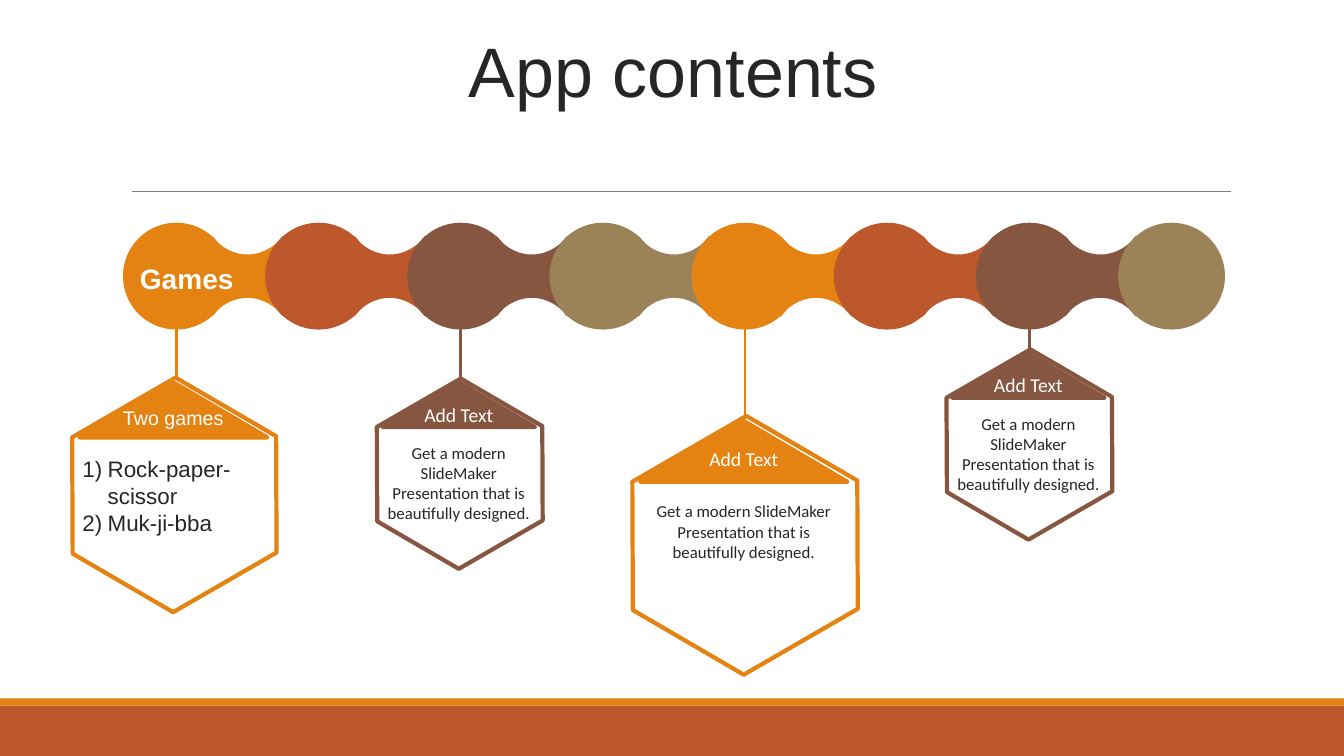
from dataclasses import dataclass

from lxml import etree
from pptx import Presentation
from pptx.dml.color import RGBColor
from pptx.enum.shapes import MSO_CONNECTOR, MSO_SHAPE
from pptx.enum.text import MSO_ANCHOR, MSO_AUTO_SIZE, PP_ALIGN
from pptx.oxml.ns import qn
from pptx.util import Inches, Pt

RECTANGLE, ELLIPSE = MSO_SHAPE.RECTANGLE, MSO_SHAPE.OVAL
HEXAGON, TRIANGLE = MSO_SHAPE.HEXAGON, MSO_SHAPE.ISOSCELES_TRIANGLE
STRAIGHT = MSO_CONNECTOR.STRAIGHT
LEFT, CENTER = PP_ALIGN.LEFT, PP_ALIGN.CENTER

ORANGE = RGBColor(0xE4, 0x83, 0x12)
RUST = RGBColor(0xBD, 0x58, 0x2C)
BROWN = RGBColor(0x86, 0x56, 0x40)
OLIVE = RGBColor(0x9B, 0x83, 0x57)
GRAY = RGBColor(0x80, 0x80, 0x80)
DARK = RGBColor(0x26, 0x26, 0x26)
WHITE = RGBColor(0xFF, 0xFF, 0xFF)
CHAIN_COLORS = (ORANGE, RUST, BROWN, OLIVE)

WIDTH, HEIGHT = 13.33, 7.5
CHAIN_LEFT, CHAIN_TOP, DIAMETER, PITCH = 1.22, 2.21, 1.06, 1.41
CIRCLE_COUNT = 8
LINK_OFFSET, LINK_WIDTH, LINK_HEIGHT = 0.8, 0.87, 0.79
CURVE_STARTS = (3, 6, 14, 17)
SAMPLE_TEXT = "Get a modern SlideMaker Presentation that is beautifully designed."


@dataclass
class Card:
    circle: int
    center_x: float
    center_y: float
    width: float
    stem_end: float
    color: RGBColor
    heading: str = "Add Text"
    body: tuple = (SAMPLE_TEXT,)
    font: str = "Calibri"
    body_size: int = 12
    body_height: float = 0.59
    numbered: bool = False


CARDS = (
    Card(0, 1.73, 4.91, 2.33, 4.52, ORANGE, "Two games",
         ("Rock-paper-scissor", "Muk-ji-bba"), "Arial", 16, 0.39, True),
    Card(4, 7.39, 5.41, 2.57, 4.19, ORANGE),
    Card(6, 10.21, 4.41, 1.89, 3.6, BROWN),
    Card(2, 4.56, 4.7, 1.89, 4.51, BROWN),
)


def circle_center(index):
    return CHAIN_LEFT + index * PITCH + DIAMETER / 2


def add_filled(shapes, kind, box, fill, outline=None):
    shape = shapes.add_shape(kind, *map(Inches, box))
    paint(shape, fill, outline)
    return shape


def paint(shape, fill, outline=None):
    shape.shadow.inherit = False
    shape.fill.solid()
    shape.fill.fore_color.rgb = fill
    if outline is None:
        shape.line.fill.background()
    else:
        shape.line.color.rgb = outline
        shape.line.width = Pt(3)


def add_line(shapes, start, end, color, width, oval_end=False):
    line = shapes.add_connector(STRAIGHT, *map(Inches, start + end))
    line.line.color.rgb = color
    line.line.width = Pt(width)
    if oval_end:
        etree.SubElement(line.line._get_or_add_ln(), qn("a:tailEnd"), type="oval")
    etree.SubElement(line._element.spPr, qn("a:effectLst"))


def format_paragraph(paragraph, text, *, size, font, color, align=LEFT, bold=False):
    paragraph.alignment = align
    run = paragraph.add_run()
    run.text = text
    run.font.size = Pt(size)
    run.font.name = font
    run.font.color.rgb = color
    run.font.bold = bold


def add_text(shapes, box, lines, *, numbered=False, **text_format):
    frame = shapes.add_textbox(*map(Inches, box)).text_frame
    frame.word_wrap = True
    for index, text in enumerate(lines):
        paragraph = frame.add_paragraph() if index else frame.paragraphs[0]
        format_paragraph(paragraph, text, **text_format)
        if numbered:
            properties = paragraph._p.get_or_add_pPr()
            properties.set("marL", str(Inches(0.25)))
            properties.set("indent", str(-Inches(0.25)))
            etree.SubElement(properties, qn("a:buAutoNum"), type="arabicParenR")


def curve_segments(shape, starts):
    """Turn three line segments from each start into one cubic curve."""
    segments = list(shape._element.iter(qn("a:lnTo")))
    for start in starts:
        first, *others = segments[start - 1:start + 2]
        curve = etree.Element(qn("a:cubicBezTo"))
        first.addprevious(curve)
        for segment in (first, *others):
            curve.append(segment[0])
            segment.getparent().remove(segment)


def add_link(shapes, left, color):
    """Draw a band whose top and bottom edges curve inward to a neck."""
    middle = LINK_WIDTH / 2
    half = [(0, 0), (0.09, 0), (0.13, 0.05), (0.21, 0.13), (0.32, 0.18)]
    mirrored = [(LINK_WIDTH - x, y) for x, y in reversed(half)]
    top = [*half, (middle, 0.18), *mirrored]
    bottom = [(x, LINK_HEIGHT - y) for x, y in reversed(top)]
    link_top = CHAIN_TOP + (DIAMETER - LINK_HEIGHT) / 2
    points = [(Inches(left + x), Inches(link_top + y)) for x, y in top + bottom]
    builder = shapes.build_freeform(*points[0])
    builder.add_line_segments(points[1:], close=True)
    link = builder.convert_to_shape()
    curve_segments(link, CURVE_STARTS)
    paint(link, color)


def add_chain(slide):
    shapes = slide.shapes.add_group_shape().shapes
    lefts = [CHAIN_LEFT + index * PITCH for index in range(CIRCLE_COUNT)]
    colors = [CHAIN_COLORS[index % len(CHAIN_COLORS)] for index in range(CIRCLE_COUNT)]
    for left, color in zip(lefts[:-1], colors):
        add_link(shapes, left + LINK_OFFSET, color)
    for left, color in zip(lefts, colors):
        add_filled(shapes, ELLIPSE, (left, CHAIN_TOP, DIAMETER, DIAMETER), color)


def add_card(slide, card):
    """Draw a hexagon card; its parts are shares of the hexagon's width."""
    def part(top, width, height, shift=-0.005):
        return (card.center_x + card.width * (shift - width / 2),
                card.center_y + card.width * top,
                card.width * width, card.width * height)

    shapes = slide.shapes.add_group_shape().shapes
    hexagon = add_filled(shapes, HEXAGON, part(-0.43, 1, 0.86, 0), WHITE, card.color)
    hexagon.adjustments[0] = 0.286
    hexagon.rotation = 330
    add_filled(shapes, TRIANGLE, part(-0.48, 0.8, 0.235), card.color, card.color)
    add_text(shapes, part(-0.4, 0.857, 0.18), [card.heading],
             size=14, font=card.font, color=WHITE, align=CENTER)
    add_text(shapes, part(-0.19, 0.857, card.body_height), card.body,
             numbered=card.numbered, size=card.body_size, font=card.font,
             color=DARK, align=LEFT if card.numbered else CENTER)


def set_title(slide, text):
    title = slide.shapes.title
    title.left, title.top, title.width, title.height = map(
        Inches, (0.35, 0.37, 12.66, 0.79))
    frame = title.text_frame
    frame.auto_size = MSO_AUTO_SIZE.NONE
    frame.word_wrap = True
    frame.vertical_anchor = MSO_ANCHOR.MIDDLE
    frame.margin_left = frame.margin_right = 0
    paragraph = frame.paragraphs[0]
    paragraph.line_spacing = 0.8
    paragraph.space_before, paragraph.space_after = Pt(12), Pt(2)
    format_paragraph(paragraph, text, size=50, font="Arial", color=DARK, align=CENTER)


def main():
    presentation = Presentation()
    presentation.slide_width = Inches(WIDTH)
    presentation.slide_height = Inches(HEIGHT)
    slide = presentation.slides.add_slide(presentation.slide_layouts[5])
    set_title(slide, "App contents")
    add_filled(slide.shapes, RECTANGLE, (0, 7, WIDTH, 0.5), RUST)
    add_filled(slide.shapes, RECTANGLE, (0, 6.93, WIDTH, 0.07), ORANGE)
    add_line(slide.shapes, (1.31, 1.9), (12.21, 1.9), GRAY, 0.5)
    add_chain(slide)
    for card in CARDS:
        center = circle_center(card.circle)
        add_line(slide.shapes, (center, CHAIN_TOP + DIAMETER - 0.03),
                 (center, card.stem_end), card.color, 2, oval_end=True)
    for card in CARDS:
        add_card(slide, card)
    add_text(slide.shapes, (1.29, 2.55, 1.2, 0.44), ["Games"],
             size=20, font="Arial", color=WHITE, bold=True)
    presentation.save("out.pptx")


if __name__ == "__main__":
    main()
